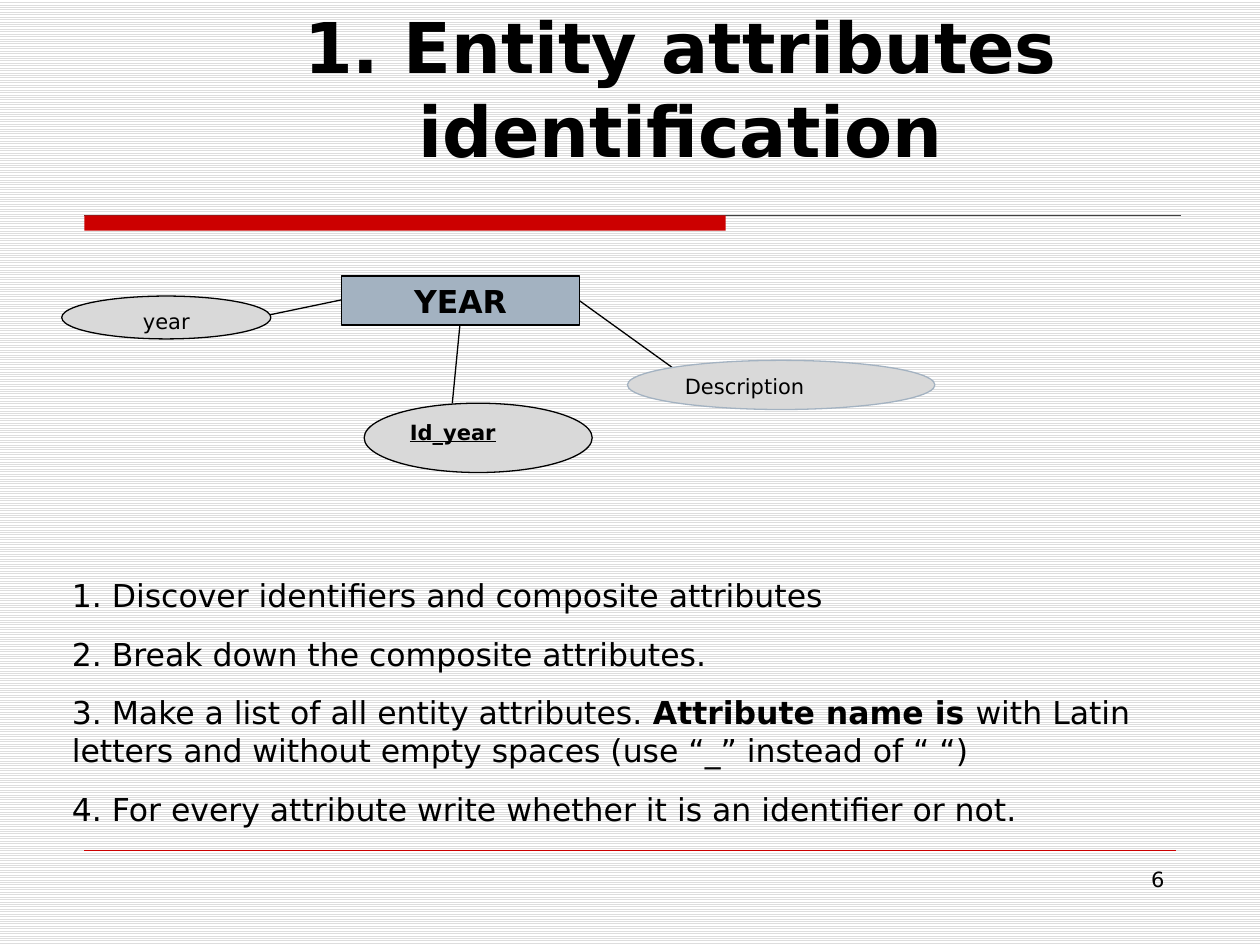
from lxml import etree
from pptx import Presentation
from pptx import util as u
from pptx.dml.color import RGBColor
from pptx.enum import dml, shapes, text

BLACK, RED, GREY, BLUE = "000000", "CC0000", "D9D9D9", "A3B2C1"
FONT = {"name": "DejaVu Sans", "bold": False, "underline": False}

presentation = Presentation()
presentation.slide_width, presentation.slide_height = u.Inches(10), u.Inches(7.5)
COLUMN = presentation.slide_width / 100
ROW = presentation.slide_height / 75
slide = presentation.slides.add_slide(presentation.slide_layouts[1])


def color(target, value):
    """Set a color format, or a fill turned solid, from a hex string."""
    if hasattr(target, "solid"):
        target.solid()
        target = target.fore_color
    target.rgb = RGBColor.from_string(value)


def write(paragraph, words, size, **changes):
    run = paragraph.add_run()
    run.text = words
    for name, value in {**FONT, "size": u.Pt(size), **changes}.items():
        setattr(run.font, name, value)
    color(run.font.color, BLACK)


# Striped background
background = slide.background.fill
background.patterned()
background.pattern = dml.MSO_PATTERN.LIGHT_HORIZONTAL
color(background.fore_color, "DDDDDD")
color(background.back_color, "FFFFFF")

# Lines: left, top, right, bottom in grid cells, color, width
lines = [
    (6.7, 17.1, 93.7, 17.1, "404040", 0.75),    # title rule
    (6.7, 67.5, 93.3, 67.5, RED, 0.25),         # footer rule
    (27.1, 23.8, 20.4, 25.2, BLACK, 0.75),      # YEAR to year
    (36.5, 25.8, 35.9, 32, BLACK, 0.75),        # YEAR to Id_year
    (45.9, 23.8, 53.4, 29.2, BLACK, 0.75),      # YEAR to Description
]
for left, top, right, bottom, line_color, width in lines:
    line = slide.shapes.add_connector(
        shapes.MSO_CONNECTOR.STRAIGHT,
        int(left * COLUMN), int(top * ROW), int(right * COLUMN), int(bottom * ROW))
    color(line.line.fill, line_color)
    line.line.width = u.Pt(width)
    etree.SubElement(line._element.spPr,
                     "{http://schemas.openxmlformats.org/drawingml/2006/main}effectLst")

# Shapes: kind, place in grid cells, fill, outline, label, size, alignment, emphasis
RECTANGLE, OVAL = shapes.MSO_SHAPE.RECTANGLE, shapes.MSO_SHAPE.OVAL
LEFT, CENTER, RIGHT = text.PP_ALIGN.LEFT, text.PP_ALIGN.CENTER, text.PP_ALIGN.RIGHT
parts = [
    (RECTANGLE, (6.7, 17.1, 50.9, 1.2), RED, None, "", 12, LEFT, {}),
    (RECTANGLE, (27.1, 21.9, 18.9, 3.9), BLUE, BLACK, "YEAR", 18, CENTER, {"bold": True}),
    (OVAL, (28.9, 32, 18.1, 5.5), GREY, BLACK, "Id_year", 12, LEFT,
     {"bold": True, "underline": True}),
    (OVAL, (4.9, 23.5, 16.6, 3.4), GREY, BLACK, "year", 12, CENTER, {}),
    (OVAL, (49.8, 28.6, 24.4, 3.9), GREY, BLUE, "Description", 12, LEFT, {}),
]
for kind, (left, top, width, height), fill, outline, label, size, align, emphasis in parts:
    shape = slide.shapes.add_shape(
        kind, int(left * COLUMN), int(top * ROW), int(width * COLUMN), int(height * ROW))
    shape.shadow.inherit = False
    color(shape.fill, fill)
    if outline:
        color(shape.line.fill, outline)
        shape.line.width = u.Pt(0.75)
    else:
        shape.line.fill.background()
    if label:
        shape.text_frame.vertical_anchor = text.MSO_ANCHOR.TOP
        paragraph = shape.text_frame.paragraphs[0]
        paragraph.alignment = align
        write(paragraph, label, size, **emphasis)

# Title, list and page number
title, body = slide.shapes.title, slide.placeholders[1]
number = slide.shapes.add_textbox(0, 0, 0, 0)
boxes = [
    (title, (7, 6.9, 94, 7.2), text.MSO_ANCHOR.BOTTOM),
    (body, (4.7, 45.2, 90.6, 21.2), text.MSO_ANCHOR.TOP),
    (number, (71.7, 68.3, 21.7, 5.2), text.MSO_ANCHOR.TOP),
]
for box, (left, top, width, height), anchor in boxes:
    place = {"left": left * COLUMN, "top": top * ROW,
             "width": width * COLUMN, "height": height * ROW}
    for name, value in place.items():
        setattr(box, name, int(value))
    frame = {"word_wrap": True, "auto_size": text.MSO_AUTO_SIZE.NONE,
             "vertical_anchor": anchor}
    for name, value in frame.items():
        setattr(box.text_frame, name, value)

heading = title.text_frame.paragraphs[0]
heading.alignment = CENTER
write(heading, "1. Entity attributes identification", 40, bold=True)

page = number.text_frame.paragraphs[0]
page.alignment = RIGHT
write(page, "6", 12)

# Each step is a list of runs; every second run is bold
steps = [
    ["1. Discover identifiers and composite attributes"],
    ["2. Break down the composite attributes."],
    ["3. Make a list of all entity attributes. ", "Attribute name is ",
     "with Latin letters and without empty spaces (use “_” instead of “ “)"],
    ["4. For every attribute write whether it is an identifier or not."],
]
for index, runs in enumerate(steps):
    paragraph = body.text_frame.add_paragraph() if index else body.text_frame.paragraphs[0]
    properties = paragraph._p.get_or_add_pPr()
    properties.set("marL", "0")
    properties.set("indent", "0")
    etree.SubElement(properties,
                     "{http://schemas.openxmlformats.org/drawingml/2006/main}buNone")
    paragraph.space_before = u.Pt(12 if index else 0)
    for position, words in enumerate(runs):
        write(paragraph, words, 18, bold=position % 2 == 1)

presentation.save("out.pptx")
